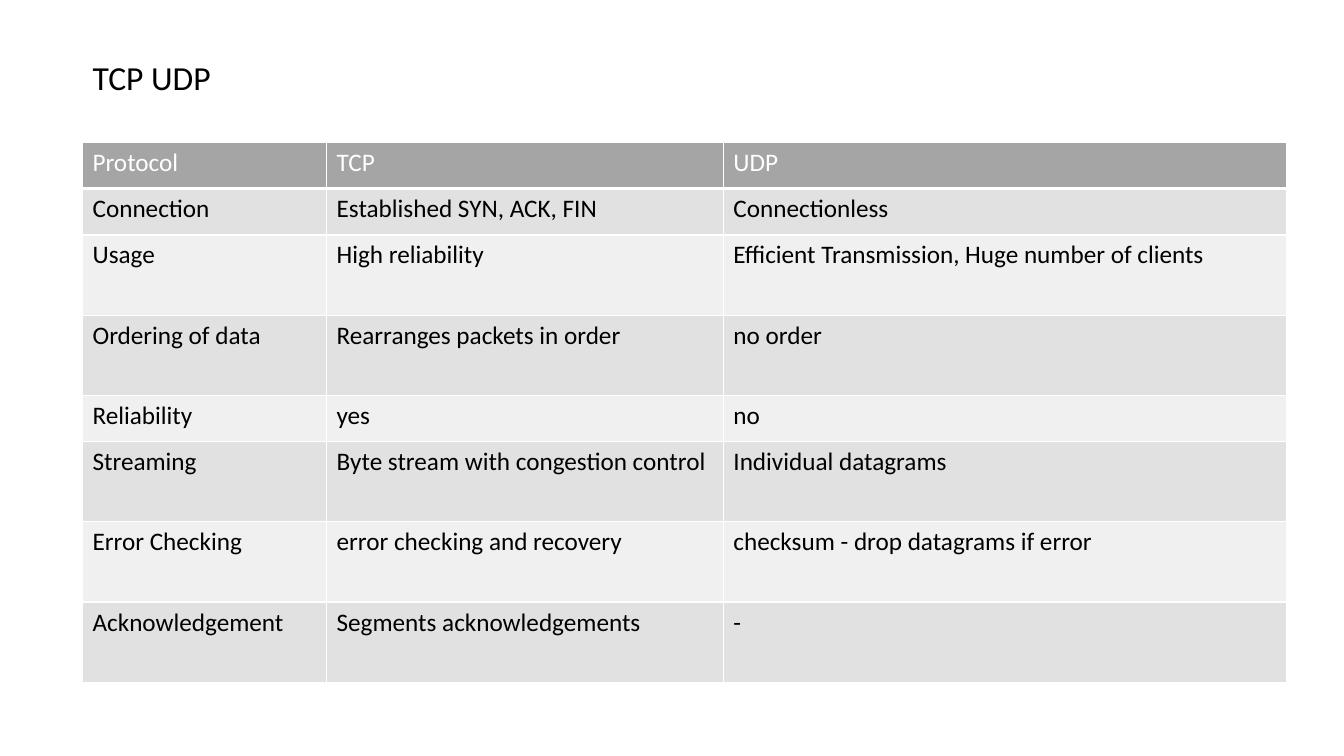
from dataclasses import dataclass

from lxml.etree import SubElement
from pptx import Presentation
from pptx.dml.color import RGBColor as RGB
from pptx.enum.text import MSO_ANCHOR as ANCHOR, MSO_AUTO_SIZE as AUTO, PP_ALIGN as ALIGN
from pptx.oxml.ns import qn
from pptx.util import Cm, Pt


@dataclass(frozen=True)
class Theme:
    """Colours and type sizes of the slide."""
    font: str = "Calibri"
    title_size: int = 24
    table_size: int = 18
    ink: str = "000000"
    paper: str = "FFFFFF"
    header: str = "A5A5A5"
    bands: tuple = ("E1E1E1", "F0F0F0")


class SlideBuilder:
    """Adds styled elements to the current slide."""

    def __init__(self, prs, theme):
        """Open a title-only slide."""
        self.theme = theme
        self.s = prs.slides.add_slide(prs.slide_layouts[5])

    def style(self, p, size, color):
        """Format the runs of a paragraph."""
        p.alignment = ALIGN.LEFT
        for r in p.runs:
            r.font.name = self.theme.font
            r.font.size = Pt(size)
            r.font.bold = False
            r.font.color.rgb = RGB.from_string(color)

    def title(self, text, left, top, width, height):
        """Place and format the title."""
        sp = self.s.shapes.title
        sp.left, sp.top, sp.width, sp.height = Cm(left), Cm(top), Cm(width), Cm(height)
        tf = sp.text_frame
        tf.text = text
        tf.word_wrap = True
        tf.auto_size = AUTO.SHAPE_TO_FIT_TEXT
        tf.vertical_anchor = ANCHOR.TOP
        self.style(tf.paragraphs[0], self.theme.title_size, self.theme.ink)

    def borders(self, cell, **widths):
        """Draw the sides of a cell in the given point widths."""
        tc_pr = cell._tc.get_or_add_tcPr()
        for side, width in widths.items():
            ln = SubElement(tc_pr, qn(f"a:ln{side}"), w=str(Pt(width)))
            fill = SubElement(ln, qn("a:solidFill"))
            SubElement(fill, qn("a:srgbClr"), val=self.theme.paper)

    def table(self, rows, left, top, widths, heights):
        """Add a table with a header row and banded body rows."""
        t = self.theme
        table = self.s.shapes.add_table(
            len(rows), len(widths), Cm(left), Cm(top),
            Cm(sum(widths)), Cm(sum(heights))).table
        for column, width in zip(table.columns, widths):
            column.width = Cm(width)
        for i, (values, height) in enumerate(zip(rows, heights)):
            table.rows[i].height = Cm(height)
            fill = t.bands[(i - 1) % 2] if i else t.header
            color = t.ink if i else t.paper
            for j, value in enumerate(values):
                cell = table.cell(i, j)
                cell.text = value
                self.style(cell.text_frame.paragraphs[0], t.table_size, color)
                self.borders(cell, L=1, R=1, T=3 if i == 1 else 1, B=1 if i else 3)
                cell.fill.solid()
                cell.fill.fore_color.rgb = RGB.from_string(fill)


PROTOCOLS = [
    ("Protocol", "TCP", "UDP"),
    ("Connection", "Established SYN, ACK, FIN", "Connectionless"),
    ("Usage", "High reliability", "Efficient Transmission, Huge number of clients"),
    ("Ordering of data", "Rearranges packets in order", "no order"),
    ("Reliability", "yes", "no"),
    ("Streaming", "Byte stream with congestion control", "Individual datagrams"),
    ("Error Checking", "error checking and recovery", "checksum - drop datagrams if error"),
    ("Acknowledgement", "Segments acknowledgements", "-"),
]
SHORT, TALL = 1.17, 2.02
SHORT_ROWS = ("Protocol", "Connection", "Reliability")


def main():
    """Build the protocol comparison slide."""
    prs = Presentation()
    prs.slide_width, prs.slide_height = Cm(33.87), Cm(19.05)
    slide = SlideBuilder(prs, Theme())
    slide.title("TCP UDP", 2.08, 1.3, 26.75, 1.27)
    heights = [SHORT if row[0] in SHORT_ROWS else TALL for row in PROTOCOLS]
    slide.table(PROTOCOLS, 2.08, 3.58, (6.15, 10, 14.2), heights)
    prs.save("out.pptx")


if __name__ == "__main__":
    main()
